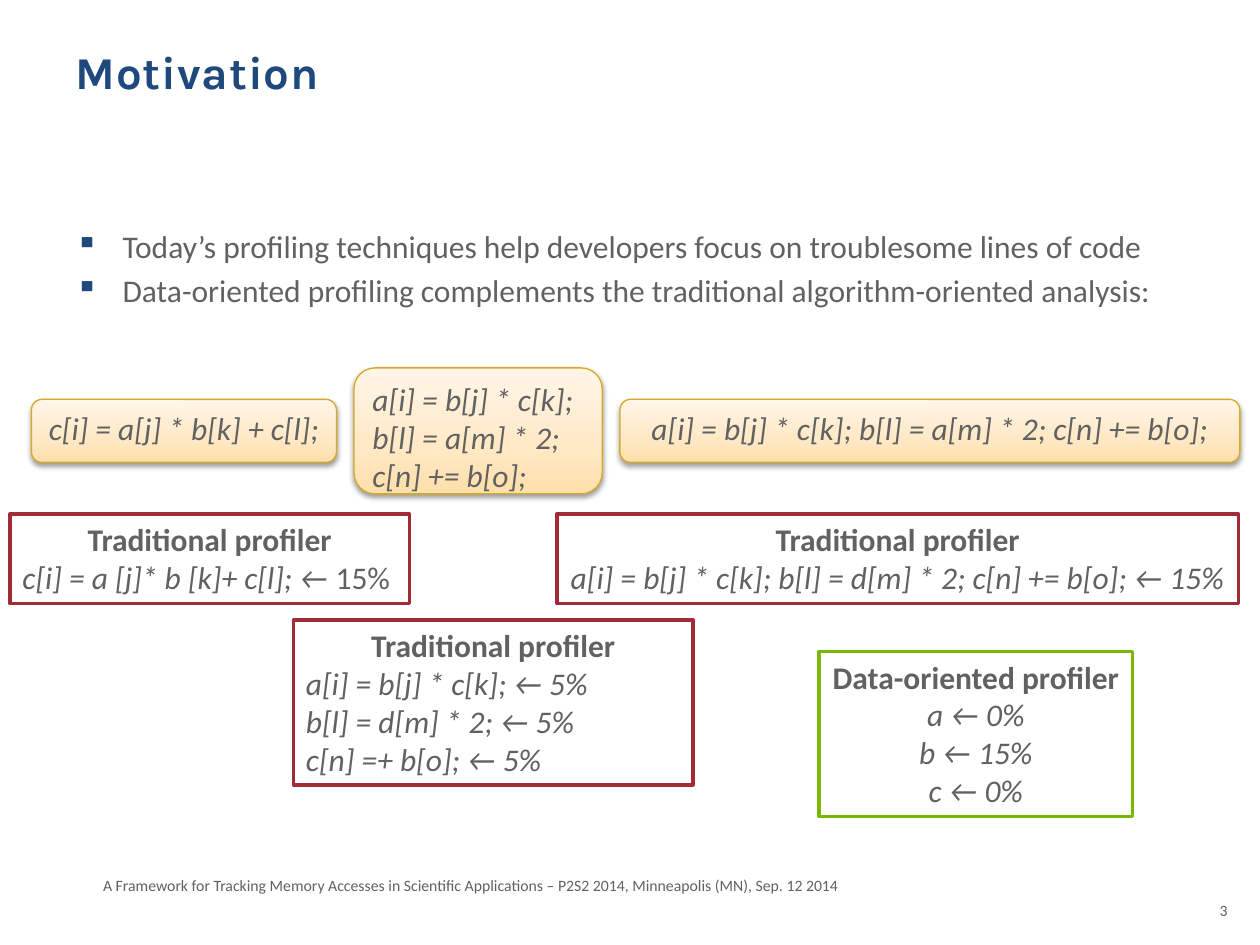
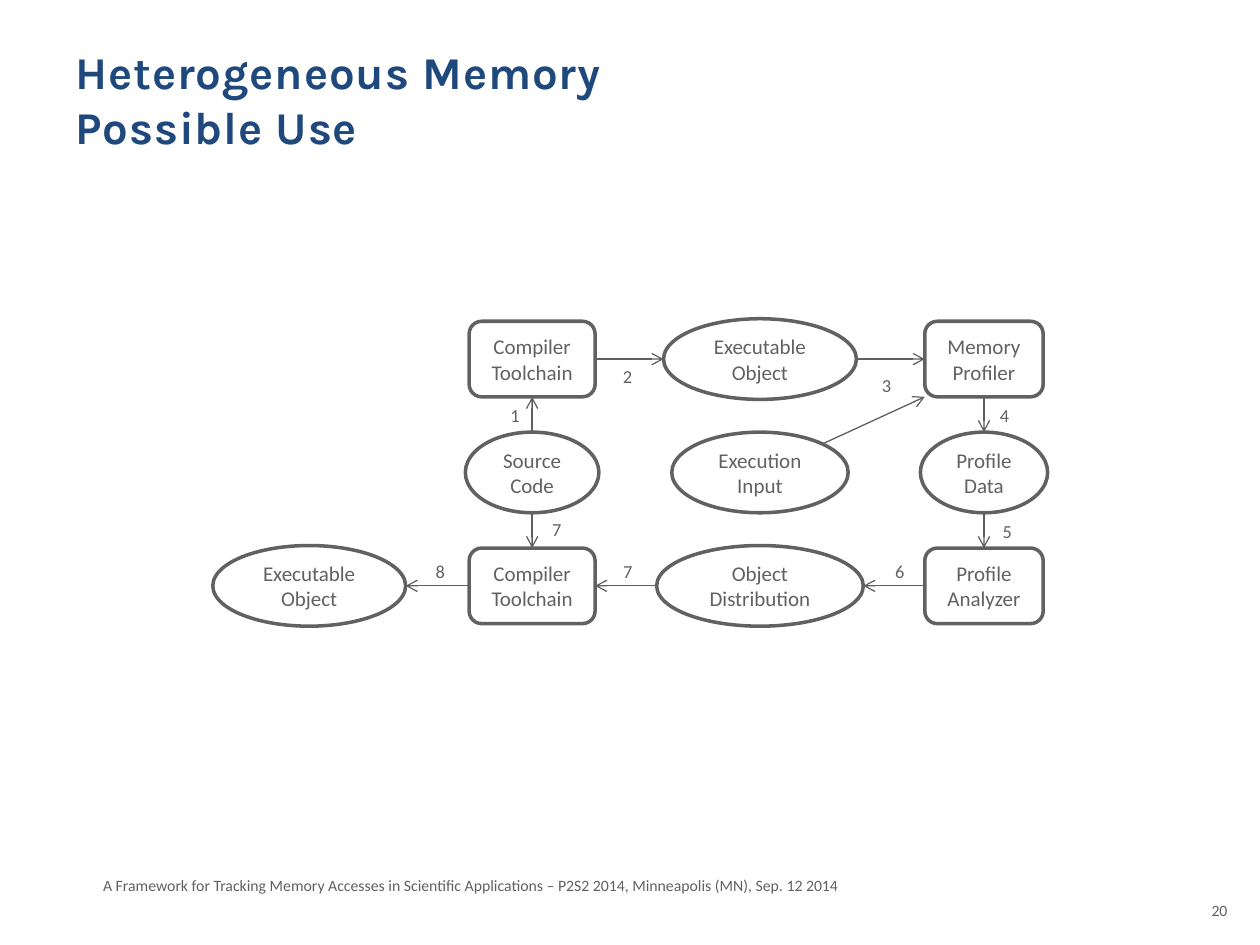
import pptx
import pptx.dml.color
import pptx.enum.shapes
import pptx.enum.text
import pptx.oxml
import pptx.oxml.ns
import pptx.util
from lxml import etree

Pt = pptx.util.Pt
RGBColor = pptx.dml.color.RGBColor
ShapeType = pptx.enum.shapes.MSO_SHAPE
Align = pptx.enum.text.PP_ALIGN
Anchor = pptx.enum.text.MSO_ANCHOR
qn = pptx.oxml.ns.qn

NAVY = RGBColor(0x1F, 0x49, 0x7D)
GRAY = RGBColor(0x61, 0x61, 0x61)
ARROW_GRAY = RGBColor(0x5F, 0x5F, 0x5F)
WHITE = RGBColor(0xFF, 0xFF, 0xFF)
CRIMSON = RGBColor(0xA2, 0x2B, 0x38)
GREEN = RGBColor(0x7A, 0xB8, 0x00)
GOLD = RGBColor(0xD8, 0xAA, 0x23)
BLACK = RGBColor(0, 0, 0)
CREAM_STOPS = [
    (0, RGBColor(0xFF, 0xDF, 0xAB)),
    (35, RGBColor(0xFF, 0xE8, 0xC4)),
    (100, RGBColor(0xFF, 0xF6, 0xE9)),
]

TITLE_FONT = "Karla"
BODY_FONT = "Calibri"
FOOTER = ("A Framework for Tracking Memory Accesses in Scientific Applications"
          " – P2S2 2014, Minneapolis (MN), Sep. 12 2014")

TITLE_BOX = (36, 21.6, 648, 90)
BODY_BOX = (36, 126, 648, 356.4)
FOOTER_BOX = (51.84, 496.8, 468, 18)
NUMBER_BOX = (678.24, 511.2, 30.24, 28.8)

RIGHT, LEFT, TOP, BOTTOM = (1, 0), (-1, 0), (0, -1), (0, 1)
ELLIPSE_TOP_RIGHT, CORNER_BOTTOM_LEFT = (0.71, -0.71), (-1, 1)


def write_text(shape, text, size=18, font=BODY_FONT, color=GRAY, bold=False,
               italic=False, align=Align.LEFT, spacing=0, continued=False):
    """Append text: a newline starts a paragraph, a vertical tab a line."""
    frame = shape.text_frame
    written = []
    for text_line in text.split("\n"):
        paragraph = frame.paragraphs[-1]
        if paragraph.runs and not continued:
            paragraph = frame.add_paragraph()
        paragraph.alignment = align
        for index, part in enumerate(text_line.split("\v")):
            if index:
                paragraph.add_line_break()
            run = paragraph.add_run()
            run.text = part
            run.font.size = Pt(size)
            run.font.name = font
            run.font.color.rgb = color
            run.font.bold = bold
            run.font.italic = italic
            if spacing:
                run.font._element.set("spc", str(round(spacing * 100)))
        written.append(paragraph)
    return written


def add_text_box(slide, box, text, wrap=True, **text_format):
    shape = slide.shapes.add_textbox(*map(Pt, box))
    shape.text_frame.word_wrap = wrap
    return write_text(shape, text, **text_format)


def add_box(slide, kind, box, line_color, line_width, fill=WHITE,
            anchor=Anchor.TOP, wrap=True):
    shape = slide.shapes.add_shape(kind, *map(Pt, box))
    shape.shadow.inherit = False
    if fill is not None:
        shape.fill.solid()
        shape.fill.fore_color.rgb = fill
    shape.line.color.rgb = line_color
    shape.line.width = Pt(line_width)
    shape.text_frame.vertical_anchor = anchor
    shape.text_frame.word_wrap = wrap
    return shape


def add_color(parent, color):
    return etree.SubElement(parent, qn("a:srgbClr"), val=str(color))


def add_cream_gradient(shape):
    gradient = pptx.oxml.parse_xml(
        f'<a:gradFill {pptx.oxml.ns.nsdecls("a")} rotWithShape="1">'
        '<a:gsLst/><a:lin ang="16200000" scaled="0"/></a:gradFill>')
    for position, color in CREAM_STOPS:
        stop = etree.SubElement(gradient[0], qn("a:gs"), pos=str(position * 1000))
        add_color(stop, color)
    shape._element.spPr.find(qn("a:prstGeom")).addnext(gradient)


def add_soft_shadow(shape):
    effects = shape._element.spPr.find(qn("a:effectLst"))
    shadow = etree.SubElement(
        effects, qn("a:outerShdw"), blurRad=str(Pt(3.1)), dist=str(Pt(1.6)),
        dir="5400000", rotWithShape="0")
    etree.SubElement(add_color(shadow, BLACK), qn("a:alpha"), val="38000")


def add_bullet(paragraph, indent):
    properties = paragraph._p.get_or_add_pPr()
    properties.set("marL", str(Pt(indent)))
    properties.set("indent", str(-Pt(indent)))
    add_color(etree.SubElement(properties, qn("a:buClr")), NAVY)
    etree.SubElement(properties, qn("a:buChar"), char="▪")


def add_framed_slide(presentation, title, number):
    """Blank slide with the shared title, footer and slide number."""
    slide = presentation.slides.add_slide(presentation.slide_layouts[6])
    add_text_box(slide, TITLE_BOX, title, size=26, font=TITLE_FONT, color=NAVY,
                 bold=True, spacing=0.5)
    add_text_box(slide, FOOTER_BOX, FOOTER, size=9)
    add_text_box(slide, NUMBER_BOX, str(number), size=9, align=Align.RIGHT)
    return slide


def add_bullets(slide, box, items):
    for paragraph in add_text_box(slide, box, "\n".join(items)):
        paragraph.space_before = Pt(3.6)
        add_bullet(paragraph, 27)


def add_code_box(slide, box, code, align=Align.CENTER):
    shape = add_box(slide, ShapeType.ROUNDED_RECTANGLE, box, GOLD, 0.75, fill=None)
    add_cream_gradient(shape)
    add_soft_shadow(shape)
    write_text(shape, code, italic=True, align=align)


def add_profiler_box(slide, box, heading, result, color=CRIMSON, align=Align.LEFT):
    shape = add_box(slide, ShapeType.RECTANGLE, box, color, 2,
                    wrap=align == Align.LEFT)
    write_text(shape, heading, bold=True, align=Align.CENTER)
    write_text(shape, result, italic=True, align=align)
    return shape


def build_motivation(presentation):
    slide = add_framed_slide(presentation, "Motivation", 3)
    add_bullets(slide, BODY_BOX, [
        "Today’s profiling techniques help developers focus on troublesome lines of code",
        "Data-oriented profiling complements the traditional algorithm-oriented analysis:",
    ])

    traditional = "Traditional profiler"
    single = add_profiler_box(slide, (5.76, 293.76, 228.24, 51.12), traditional,
                              "c[i] = a [j]* b [k]+ c[l]; ← ")
    write_text(single, "15%", continued=True)
    add_profiler_box(slide, (167.76, 354.24, 228.24, 94.32), traditional,
                     "a[i] = b[j] * c[k]; ← 5%\nb[l] = d[m] * 2; ← 5%\nc[n] =+ b[o]; ← 5%")
    add_profiler_box(slide, (468, 372.24, 179.28, 94.32), "Data-oriented profiler",
                     "a ← 0%\nb ← 15%\nc ← 0%", color=GREEN, align=Align.CENTER)
    add_profiler_box(slide, (318.24, 293.76, 389.52, 51.12), traditional,
                     "a[i] = b[j] * c[k]; b[l] = d[m] * 2; c[n] += b[o]; ← 15%",
                     align=Align.CENTER)

    add_code_box(slide, (18, 228.24, 174.24, 36), "c[i] = a[j] * b[k] + c[l];")
    add_code_box(slide, (202.32, 210.24, 141.84, 72),
                 "a[i] = b[j] * c[k];\nb[l] = a[m] * 2;\nc[n] += b[o];",
                 align=Align.LEFT)
    add_code_box(slide, (354.24, 228.24, 354.24, 36),
                 "a[i] = b[j] * c[k]; b[l] = a[m] * 2; c[n] += b[o];")


def add_node(slide, kind, center, width, label):
    """Draw a node around its center and return its box."""
    height = 46.1 if kind == ShapeType.OVAL else 43.2
    box = (center[0] - width / 2, center[1] - height / 2, width, height)
    shape = add_box(slide, kind, box, GRAY, 2, anchor=Anchor.MIDDLE)
    write_text(shape, label, size=12, align=Align.CENTER)
    return box


def edge_point(box, side):
    """Point of a box at side, given in half widths and heights from its center."""
    left, top, width, height = box
    return left + width / 2 * (1 + side[0]), top + height / 2 * (1 + side[1])


def add_arrow(slide, start, end):
    connector = slide.shapes.add_connector(
        pptx.enum.shapes.MSO_CONNECTOR.STRAIGHT, *map(Pt, (*start, *end)))
    connector.line.color.rgb = ARROW_GRAY
    connector.line.width = Pt(0.75)
    etree.SubElement(connector.line._get_or_add_ln(), qn("a:tailEnd"), type="arrow")
    etree.SubElement(connector._element.spPr, qn("a:effectLst"))


def add_step_label(slide, center, number):
    width, height = 20.16, 20.88
    box = (center[0] - width / 2, center[1] - height / 2, width, height)
    add_text_box(slide, box, number, wrap=False, size=10.5)


def add_workflow(slide, left, top):
    columns = [left + offset for offset in (55, 182.4, 312.6, 440.6)]
    rows = [top + 23 + 64.8 * row for row in range(3)]
    step, data = ShapeType.ROUNDED_RECTANGLE, ShapeType.OVAL
    nodes = {
        "compiler": (step, 1, 0, 72, "Compiler\nToolchain"),
        "executable": (data, 2, 0, 110.2, "Executable\nObject"),
        "profiler": (step, 3, 0, 67.7, "Memory\nProfiler"),
        "source": (data, 1, 1, 76.3, "Source\nCode"),
        "input": (data, 2, 1, 100.8, "Execution\nInput"),
        "profile": (data, 3, 1, 72.7, "Profile\nData"),
        "final executable": (data, 0, 2, 110.2, "Executable\nObject"),
        "recompiler": (step, 1, 2, 72, "Compiler\nToolchain"),
        "distribution": (data, 2, 2, 118.1, "Object\nDistribution"),
        "analyzer": (step, 3, 2, 67.7, "Profile\nAnalyzer"),
    }
    boxes = {
        name: add_node(slide, kind, (columns[column], rows[row]), width, label)
        for name, (kind, column, row, width, label) in nodes.items()
    }

    # start node and side, end node and side, step number and its offset
    arrows = [
        ("source", TOP, "compiler", BOTTOM, "1", (-9.4, 1)),
        ("source", BOTTOM, "recompiler", TOP, "7", (14.4, 0)),
        ("compiler", RIGHT, "executable", LEFT, "2", (-0.7, 10.4)),
        ("executable", RIGHT, "profiler", LEFT, "3", (-2, 15.5)),
        ("profiler", BOTTOM, "profile", TOP, "4", (12, 1)),
        ("input", ELLIPSE_TOP_RIGHT, "profiler", CORNER_BOTTOM_LEFT, None, None),
        ("profile", BOTTOM, "analyzer", TOP, "5", (13.7, 1)),
        ("analyzer", LEFT, "distribution", RIGHT, "6", (3.6, -7.6)),
        ("distribution", LEFT, "recompiler", RIGHT, "7", (1.4, -7.6)),
        ("recompiler", LEFT, "final executable", RIGHT, "8", (2, -7.6)),
    ]
    for source, source_side, target, target_side, number, offset in arrows:
        start = edge_point(boxes[source], source_side)
        end = edge_point(boxes[target], target_side)
        add_arrow(slide, start, end)
        if number:
            center = [(a + b) / 2 + shift for a, b, shift in zip(start, end, offset)]
            add_step_label(slide, center, number)


def build_possible_use(presentation):
    slide = add_framed_slide(presentation, "Heterogeneous Memory\vPossible Use", 20)
    add_workflow(slide, 121.7, 182.2)


def main():
    presentation = pptx.Presentation()
    presentation.slide_width = Pt(720)
    presentation.slide_height = Pt(540)
    build_motivation(presentation)
    build_possible_use(presentation)
    presentation.save("out.pptx")


if __name__ == "__main__":
    main()
